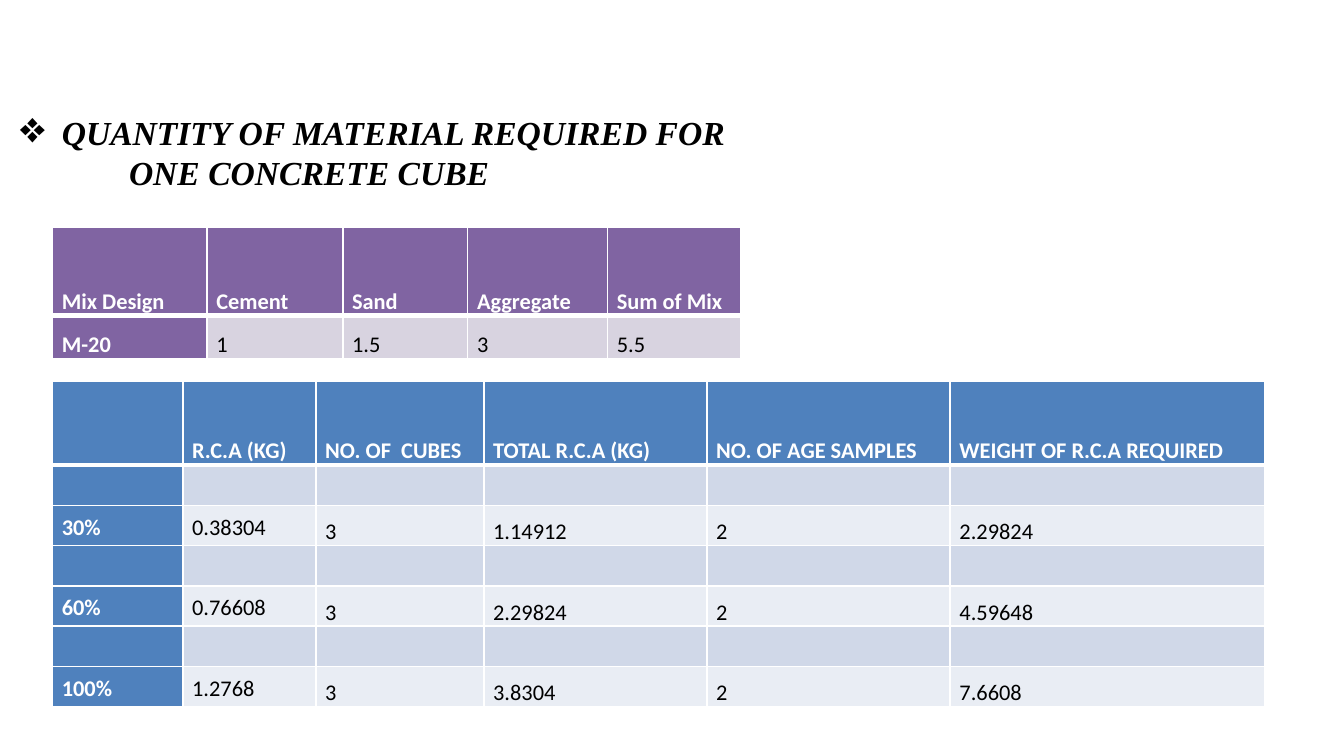
from dataclasses import dataclass

from lxml.etree import SubElement
from pptx import Presentation
from pptx.dml.color import RGBColor
from pptx.enum.text import MSO_ANCHOR, MSO_AUTO_SIZE, PP_ALIGN
from pptx.oxml.ns import qn
from pptx.util import Inches, Pt


@dataclass(frozen=True)
class Theme:
    title_font: str = "Times New Roman"
    body_font: str = "Calibri"
    title_size: int = 18
    body_size: int = 12
    ink: str = "000000"
    light: str = "FFFFFF"
    purple: str = "8064A2"
    purple_band: str = "D8D3E0"
    blue: str = "4F81BD"
    blue_bands: tuple = ("D0D8E8", "E9EDF4")


THEME = Theme()
TITLE_LINES = ["QUANTITY OF MATERIAL REQUIRED FOR", "ONE CONCRETE CUBE"]
MIX_ROWS = [
    ["Mix Design", "Cement", "Sand", "Aggregate", "Sum of Mix"],
    ["M-20", "1", "1.5", "3", "5.5"],
]
BLANK_ROW = [""] * 6
AGGREGATE_ROWS = [
    ["", "R.C.A (KG)", "NO. OF  CUBES", "TOTAL R.C.A (KG)",
     "NO. OF AGE SAMPLES", "WEIGHT OF R.C.A REQUIRED"],
    BLANK_ROW,
    ["30%", "0.38304", "3", "1.14912", "2", "2.29824"],
    BLANK_ROW,
    ["60%", "0.76608", "3", "2.29824", "2", "4.59648"],
    BLANK_ROW,
    ["100%", "1.2768", "3", "3.8304", "2", "7.6608"],
]


def apply(target, values):
    for name, value in values.items():
        setattr(target, name, value)


def style_font(font, color, **values):
    apply(font, values)
    font.color.rgb = RGBColor.from_string(color)


def add_title(page, box):
    """Bulleted heading whose second line is set further in."""
    title = page.shapes.title
    apply(title, dict(zip(("left", "top", "width", "height"), map(Inches, box))))
    frame = title.text_frame
    apply(frame, {"word_wrap": True, "auto_size": MSO_AUTO_SIZE.NONE,
                  "vertical_anchor": MSO_ANCHOR.MIDDLE})
    frame.text = "\n".join(TITLE_LINES)
    for para, margin, hanging in zip(frame.paragraphs, (0.31, 0.81), (-0.31, 0)):
        properties = para._p.get_or_add_pPr()
        properties.set("marL", str(Inches(margin)))
        properties.set("indent", str(Inches(hanging)))
        if hanging:
            SubElement(properties, qn("a:buSzPct"), val="130000")
            SubElement(properties, qn("a:buChar"), char="❖")
        else:
            SubElement(properties, qn("a:buNone"))
        para.alignment = PP_ALIGN.LEFT
        for span in para.runs:
            style_font(span.font, THEME.ink, name=THEME.title_font,
                       size=Pt(THEME.title_size), bold=True, italic=True)


def add_borders(cell, bottom):
    for side in "LRTB":
        width = bottom if side == "B" else 1
        line = SubElement(cell._tc.get_or_add_tcPr(), qn(f"a:ln{side}"),
                          w=str(Pt(width)))
        fill = SubElement(line, qn("a:solidFill"))
        SubElement(fill, qn("a:srgbClr"), val=THEME.light)


def fill_cell(cell, text, fill, strong, anchor, bottom):
    add_borders(cell, bottom)
    cell.fill.solid()
    cell.fill.fore_color.rgb = RGBColor.from_string(fill)
    apply(cell, {"margin_left": Inches(0.07), "margin_right": Inches(0.07),
                 "margin_top": 0, "margin_bottom": 0, "vertical_anchor": anchor})
    para = cell.text_frame.paragraphs[0]
    if not text:
        # Keeps blank rows as low as the others
        SubElement(para._p, qn("a:endParaRPr"), sz=str(THEME.body_size * 100))
        return
    apply(para, {"alignment": PP_ALIGN.JUSTIFY, "line_spacing": 1.15,
                 "space_after": Pt(10)})
    span = para.add_run()
    span.text = text
    style_font(span.font, THEME.light if strong else THEME.ink,
               name=THEME.body_font, size=Pt(THEME.body_size), bold=strong)


def add_grid(page, box, rows, widths, heights, accent, bands, middle_columns=0):
    """Table with a strong header row and first column over banded rows."""
    table = page.shapes.add_table(len(rows), len(widths), *map(Inches, box)).table
    apply(table, {"first_row": False, "horz_banding": False})
    for column, width in zip(table.columns, widths):
        column.width = Inches(width)
    for row, height in zip(table.rows, heights):
        row.height = Inches(height)
    for r, values in enumerate(rows):
        for c, text in enumerate(values):
            strong = r == 0 or c == 0
            middle = r > 0 and c < middle_columns
            fill_cell(table.cell(r, c), text,
                      accent if strong else bands[(r - 1) % len(bands)], strong,
                      MSO_ANCHOR.MIDDLE if middle else MSO_ANCHOR.BOTTOM,
                      bottom=1 if r else 3)


def main():
    deck = Presentation()
    # Widescreen page, 16 to 9
    apply(deck, {"slide_width": Inches(10), "slide_height": Inches(10) * 9 // 16})
    page = deck.slides.add_slide(deck.slide_layouts[5])
    add_title(page, (0.05, 0.71, 9.02, 0.84))
    # Mix proportions
    add_grid(page, (0.39, 1.69, 5.12, 0.98), MIX_ROWS,
             [1.15, 1.01, 0.93, 1.04, 0.99], [0.66, 0.32],
             THEME.purple, [THEME.purple_band])
    # Recycled aggregate by share
    add_grid(page, (0.39, 2.84, 9.02, 2.43), AGGREGATE_ROWS,
             [0.97, 0.99, 1.25, 1.66, 1.81, 2.34], [0.62] + [0.3] * 6,
             THEME.blue, THEME.blue_bands, middle_columns=2)
    deck.save("out.pptx")


if __name__ == "__main__":
    main()
